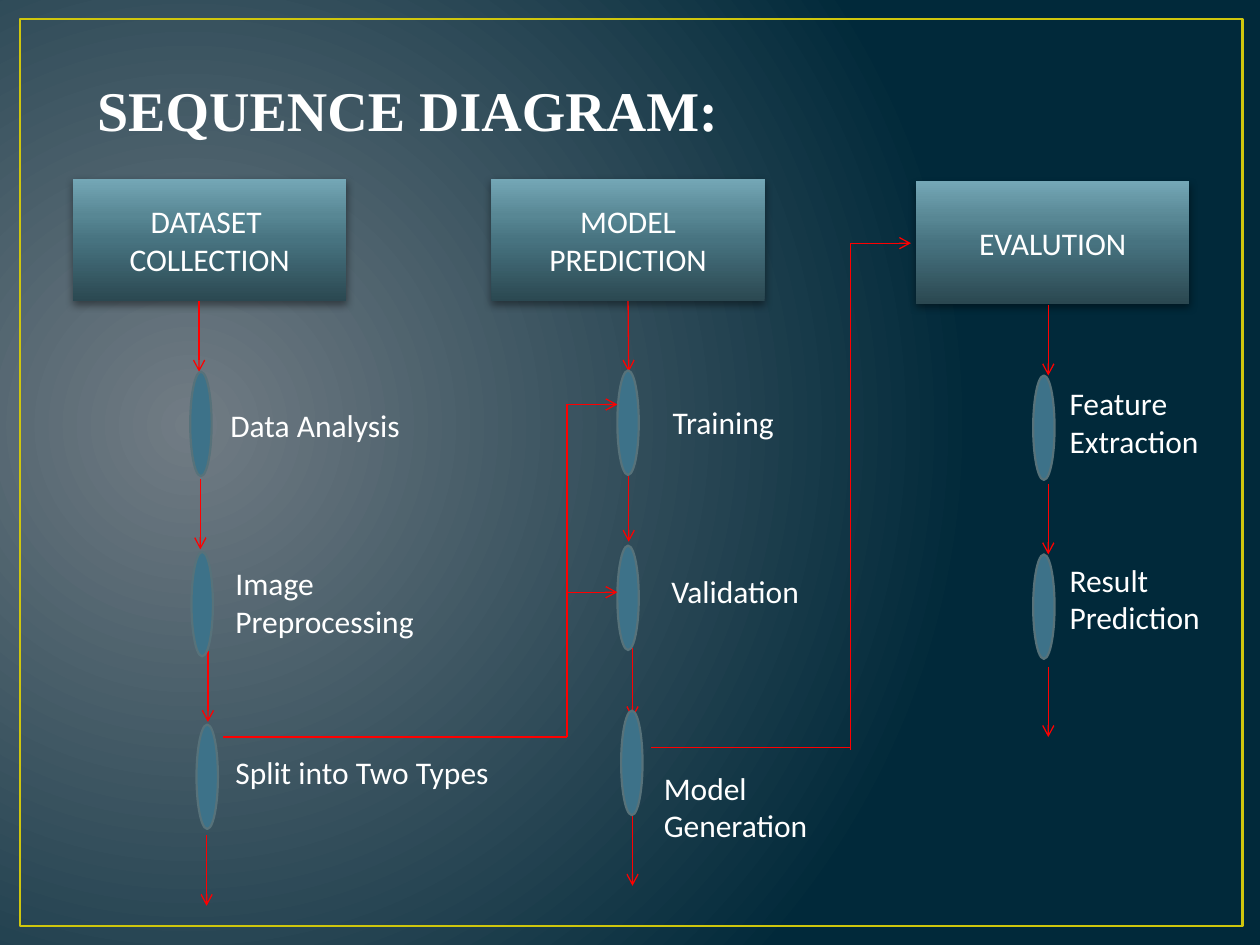
import pptx
import pptx.dml.color
import pptx.enum.shapes
import pptx.enum.text
import pptx.oxml
import pptx.oxml.ns
import pptx.util
from lxml import etree

Inches = pptx.util.Inches
KIND = pptx.enum.shapes.MSO_SHAPE
ALIGN = pptx.enum.text.PP_ALIGN
ANCHOR = pptx.enum.text.MSO_ANCHOR
NS = pptx.oxml.ns.nsdecls("a")
WHITE, RED, GOLD = "FFFFFF", "FF0000", "CFC60D"
TEAL, EDGE = "3D7289", "57727A"

BOX_W, BOX_H = 2.17, 0.97
OVAL_W, OVAL_H = 0.17, 0.83
DROP = 0.56

# Head boxes: left, top, lines of text
HEADS = [
    (0.58, 1.42, ["DATASET ", "COLLECTION"]),
    (3.9, 1.42, ["MODEL", "PREDICTION"]),
    (7.27, 1.44, ["EVALUTION"]),
]
# Steps: oval left and top, label left, top, width, height, text
STEPS = [
    (1.51, 2.95, 1.73, 3.17, 1.67, 0.4, "Data Analysis"),
    (1.52, 4.38, 1.77, 4.43, 1.67, 0.71, "Image Preprocessing"),
    (1.56, 5.75, 1.77, 5.93, 2.93, 0.4, "Split into Two Types"),
    (4.9, 2.94, 5.24, 3.15, 1.67, 0.4, "Training"),
    (4.9, 4.33, 5.23, 4.49, 1.67, 0.4, "Validation"),
    (4.93, 5.64, 5.17, 6.05, 1.9, 0.71, "Model Generation"),
    (8.2, 2.98, 8.39, 3, 1.67, 0.71, "Feature Extraction"),
    (8.2, 4.4, 8.39, 4.4, 1.67, 0.71, "Result Prediction"),
]
# Down arrows of equal length: x and top
DROPS = [
    (1.58, 2.39), (1.59, 3.8), (1.65, 5.17), (1.64, 6.63),
    (4.99, 3.74), (5.02, 5.14), (5.02, 6.47),
    (8.32, 2.42), (8.32, 3.84), (8.32, 5.29),
]
# Links between columns: x1, y1, x2, y2, arrowhead
LINKS = [
    (1.77, 5.85, 4.5, 5.85, False),
    (4.5, 3.21, 4.5, 5.85, False),
    (4.5, 3.21, 4.9, 3.21, True),
    (4.5, 4.7, 4.9, 4.7, True),
    (5.17, 5.93, 6.75, 5.93, False),
    (6.75, 5.95, 6.75, 1.93, False),
    (6.75, 1.93, 7.23, 1.93, True),
]


def color(code):
    return pptx.dml.color.RGBColor.from_string(code)


def blend(fill, root, stops, shade):
    """Give a fill its gradient stops and its direction."""
    fill.gradient()
    grad = next(root.iter(pptx.oxml.ns.qn("a:gradFill")))
    for part in list(grad):
        grad.remove(part)
    marks = "".join(
        f'<a:gs pos="{pos * 1000}"><a:srgbClr val="{code}"/></a:gs>'
        for pos, code in stops
    )
    grad.append(pptx.oxml.parse_xml(f"<a:gsLst {NS}>{marks}</a:gsLst>"))
    grad.append(pptx.oxml.parse_xml(shade))


def write(para, text, size=18, font="Calibri", bold=False):
    run = para.add_run()
    run.text = text
    run.font.size = pptx.util.Pt(size)
    run.font.name = font
    run.font.bold = bold
    run.font.color.rgb = color(WHITE)


def add_form(slide, kind, left, top, wide, high):
    form = slide.shapes.add_shape(
        kind, Inches(left), Inches(top), Inches(wide), Inches(high))
    form.shadow.inherit = False
    return form


def add_frame(slide):
    frame = add_form(slide, KIND.RECTANGLE, 0.16, 0.15, 9.7, 7.2)
    frame.fill.background()
    frame.line.color.rgb = color(GOLD)
    frame.line.width = pptx.util.Pt(1.5)


def add_title(slide, text):
    title = slide.shapes.title
    title.left, title.top = Inches(0.67), Inches(0.5)
    title.width, title.height = Inches(5.33), Inches(0.94)
    body = title.text_frame
    body.vertical_anchor = ANCHOR.TOP
    body.margin_top = Inches(0.1)
    para = body.paragraphs[0]
    para.alignment = ALIGN.LEFT
    write(para, text, 32, "Times New Roman", True)


def add_head(slide, left, top, lines):
    box = add_form(slide, KIND.RECTANGLE, left, top, BOX_W, BOX_H)
    props = box._element.spPr
    blend(box.fill, props,
          [(0, "2B4851"), (50, "477380"), (70, "588794"), (100, "74A7B6")],
          f'<a:lin {NS} ang="16200000" scaled="0"/>')
    box.line.fill.background()
    # Soft shadow below the box
    props.find(pptx.oxml.ns.qn("a:effectLst")).append(pptx.oxml.parse_xml(
        f'<a:outerShdw {NS} blurRad="63500" dist="25400" dir="5400000" '
        'rotWithShape="0"><a:srgbClr val="000000"><a:alpha val="43000"/>'
        '</a:srgbClr></a:outerShdw>'))
    body = box.text_frame
    body.vertical_anchor = ANCHOR.MIDDLE
    for place, text in enumerate(lines):
        para = body.add_paragraph() if place else body.paragraphs[0]
        para.alignment = ALIGN.CENTER
        write(para, text)
    return box


def add_line(slide, x1, y1, x2, y2, arrow=True):
    line = slide.shapes.add_connector(
        pptx.enum.shapes.MSO_CONNECTOR.STRAIGHT,
        Inches(x1), Inches(y1), Inches(x2), Inches(y2))
    line.line.color.rgb = color(RED)
    line.line.width = pptx.util.Pt(0.75)
    qn = pptx.oxml.ns.qn
    if arrow:
        etree.SubElement(line.line._get_or_add_ln(), qn("a:tailEnd"), type="arrow")
    etree.SubElement(line._element.spPr, qn("a:effectLst"))
    return line


def add_step(slide, x, y, left, top, wide, high, text):
    oval = add_form(slide, KIND.OVAL, x, y, OVAL_W, OVAL_H)
    oval.fill.solid()
    oval.fill.fore_color.rgb = color(TEAL)
    oval.line.color.rgb = color(EDGE)
    oval.line.width = pptx.util.Pt(1.25)
    label = slide.shapes.add_textbox(
        Inches(left), Inches(top), Inches(wide), Inches(high))
    label.text_frame.word_wrap = True
    write(label.text_frame.paragraphs[0], text)


def main():
    deck = pptx.Presentation()
    deck.slide_width, deck.slide_height = Inches(10), Inches(7.5)
    slide = deck.slides.add_slide(deck.slide_layouts[5])

    # Backdrop, frame and title
    blend(slide.background.fill, slide._element,
          [(0, "717C84"), (100, "01293A")],
          f'<a:path {NS} path="circle"><a:fillToRect l="15000" t="50000" '
          'r="85000" b="60000"/></a:path>')
    add_frame(slide)
    add_title(slide, "SEQUENCE DIAGRAM:")

    # Columns: heads, arrows, then steps on top
    boxes = [add_head(slide, *head) for head in HEADS]
    add_line(slide, 4.99, 2.39, 4.99, 2.95).begin_connect(boxes[1], 2)
    for x, y in DROPS:
        add_line(slide, x, y, x, y + DROP)
    for step in STEPS:
        add_step(slide, *step)

    # Links from one column to the next
    for link in LINKS:
        add_line(slide, *link)

    deck.save("out.pptx")


if __name__ == "__main__":
    main()
